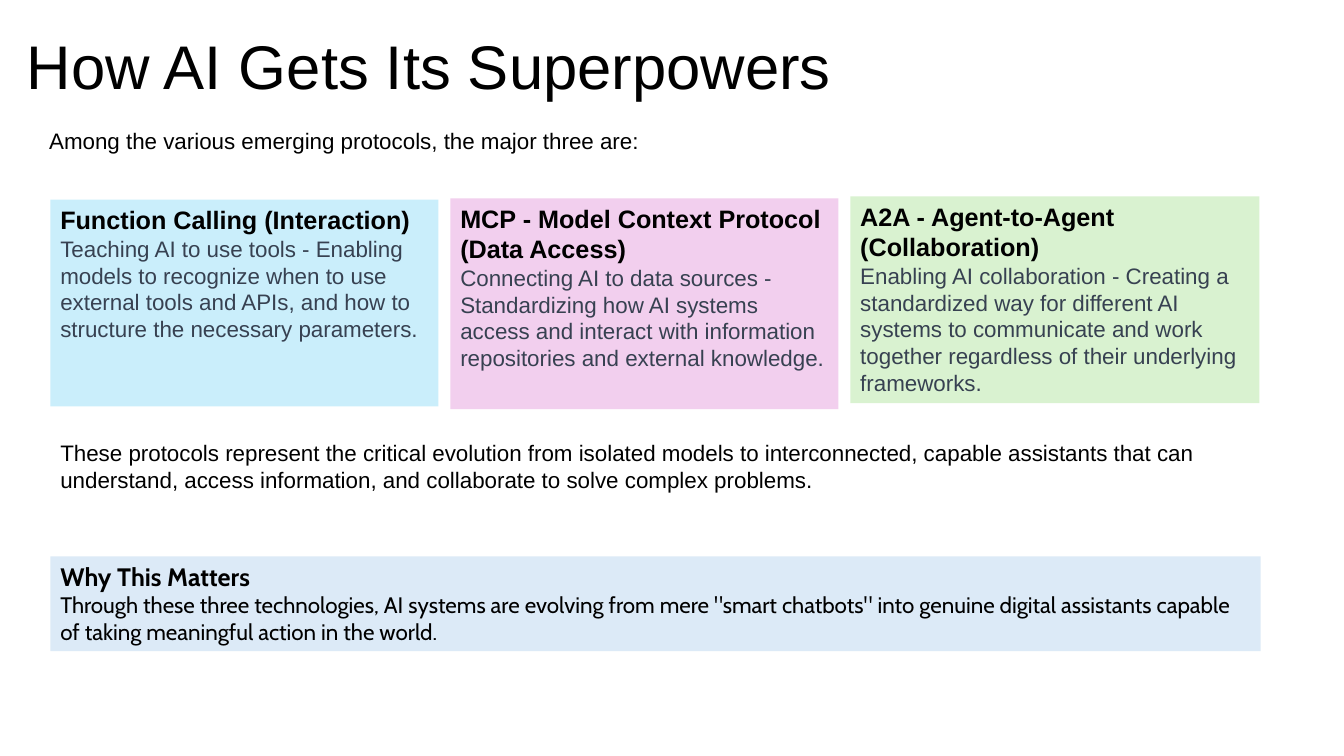
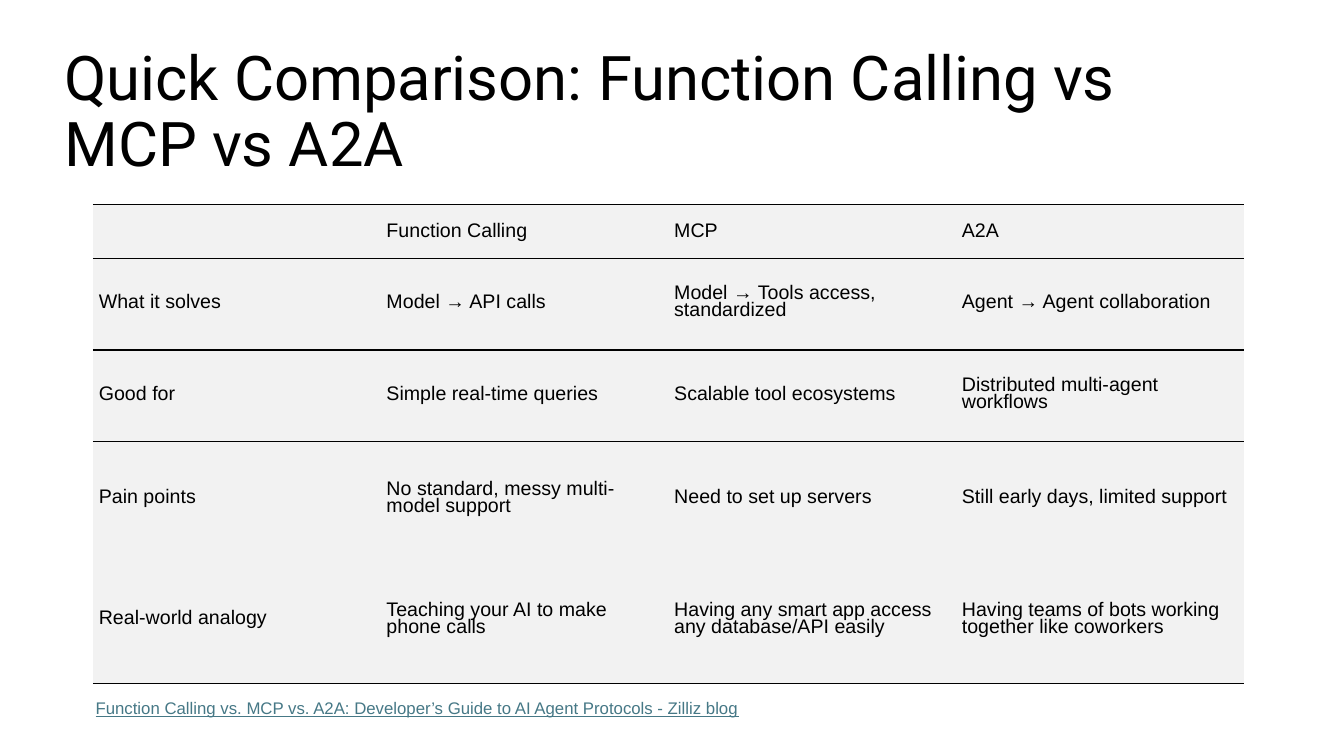
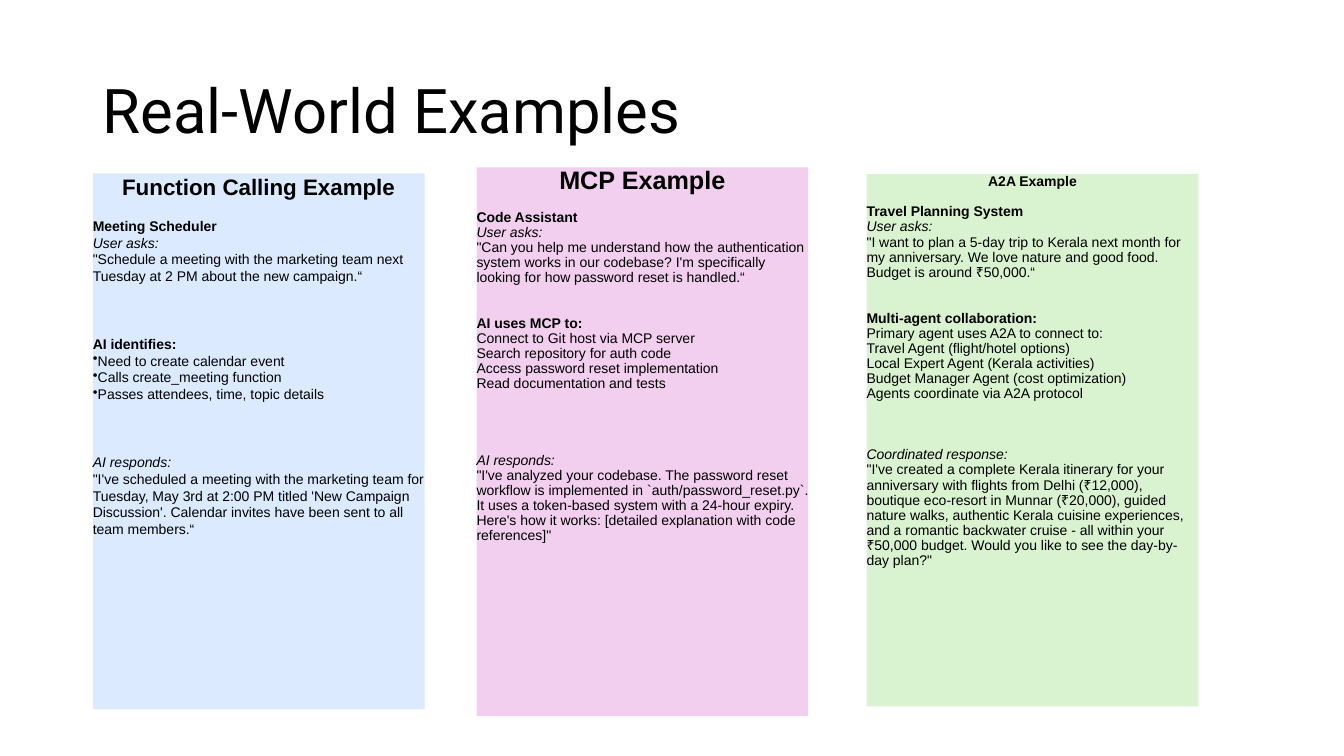
import pptx
import pptx.dml.color
import pptx.enum.shapes
import pptx.enum.text
import pptx.oxml.ns
import pptx.util
from lxml import etree

Cm, Pt = pptx.util.Cm, pptx.util.Pt
ALIGN = pptx.enum.text.PP_ALIGN
ANCHOR = pptx.enum.text.MSO_ANCHOR

BLACK, SLATE, LINK = "000000", "374151", "467886"
PINK, GREEN = "F2CFEE", "D9F2D0"
TABLE_GREY = "F2F2F2"
PLAIN_TABLE_STYLE = "{2D5ABB26-0587-4C30-8999-92F81FD0307C}"
BASE = {"name": "Arial", "size": 16, "color": BLACK}
TITLE = {"size": 44, "spacing": 0.9}

# Places are (left, top, width, height) in centimetres.
PROTOCOLS = {
    "title": ("How AI Gets Its Superpowers", "Arial", (0.43, 0.64, 29.21, 2.24)),
    "intro": ("Among the various emerging protocols, the major three are:",
              (0.99, 3.15, 30.76, 0.84)),
    "summary": ("These protocols represent the critical evolution from isolated models to "
                "interconnected, capable assistants that can understand, access information, "
                "and collaborate to solve complex problems.", (1.27, 10.95, 30.76, 1.63)),
    "left": 1.27,
    "gap": 0.3,
    # top, width, height, fill, heading, body
    "cards": [
        (5.03, 9.78, 5.21, "CAEEFB", "Function Calling (Interaction)",
         "Teaching AI to use tools - Enabling models to recognize when to use external tools "
         "and APIs, and how to structure the necessary parameters."),
        (5.0, 9.78, 5.31, PINK, "MCP - Model Context Protocol (Data Access)",
         "Connecting AI to data sources - Standardizing how AI systems access and interact "
         "with information repositories and external knowledge."),
        (4.95, 10.31, 5.21, GREEN, "A2A - Agent-to-Agent (Collaboration)",
         "Enabling AI collaboration - Creating a standardized way for different AI systems to "
         "communicate and work together regardless of their underlying frameworks."),
    ],
    "why": ("Why This Matters",
            "Through these three technologies, AI systems are evolving from mere \"smart "
            "chatbots\" into genuine digital assistants capable of taking meaningful action "
            "in the world.", (1.27, 14.02, 30.5, 2.39)),
}

COMPARISON = {
    "title": ("Quick Comparison: Function Calling vs MCP vs A2A", "Roboto",
              (1.37, 1.02, 30.18, 3.68)),
    "place": (2.34, 5.16, 29.0, 12.07),
    "row_heights": [1.35, 2.31, 2.31, 2.92, 3.18],
    "ruled_rows": [0, 1, 4],
    "rows": [
        ["", "Function Calling", "MCP", "A2A"],
        ["What it solves", "Model → API calls", "Model → Tools access, standardized",
         "Agent → Agent collaboration"],
        ["Good for", "Simple real-time queries", "Scalable tool ecosystems",
         "Distributed multi-agent workflows"],
        ["Pain points", "No standard, messy multi-model support", "Need to set up servers",
         "Still early days, limited support"],
        ["Real-world analogy", "Teaching your AI to make phone calls",
         "Having any smart app access any database/API easily",
         "Having teams of bots working together like coworkers"],
    ],
    "source": ("Function Calling vs. MCP vs. A2A: Developer’s Guide to AI Agent Protocols"
               " - Zilliz blog", (2.16, 17.45, 16.94, 0.76)),
}

EXAMPLE_LINE = 12.1  # height in points of one line of 10 pt text
EXAMPLE_STYLES = {
    "heading": {"bold": True, "align": ALIGN.CENTER},
    "label": {"bold": True},
    "speaker": {"italic": True},
    "text": {},
    "bullet": {"bullet": "•"},
}
EXAMPLES = {
    "title": ("Real-World Examples", "Roboto", (2.34, 1.02, 29.21, 3.68)),
    # paragraphs: style, lines of space before, text
    "cards": [
        {"place": (2.34, 4.37, 8.36, 13.51), "fill": "DBEAFE", "heading_size": 16, "spacing": 1.0,
         "paragraphs": [
             ("heading", 0, "Function Calling Example"),
             ("label", 1, "Meeting Scheduler"),
             ("speaker", 0, "User asks:"),
             ("text", 0, "\"Schedule a meeting with the marketing team next Tuesday at 2 PM "
                         "about the new campaign.“"),
             ("label", 3, "AI identifies:"),
             ("bullet", 0, "Need to create calendar event"),
             ("bullet", 0, "Calls create_meeting function"),
             ("bullet", 0, "Passes attendees, time, topic details"),
             ("speaker", 3, "AI responds:"),
             ("text", 0, "\"I've scheduled a meeting with the marketing team for Tuesday, May "
                         "3rd at 2:00 PM titled 'New Campaign Discussion'. Calendar invites "
                         "have been sent to all team members.“"),
         ]},
        {"place": (12.01, 4.22, 8.36, 13.82), "fill": PINK, "heading_size": 18, "spacing": 0.9,
         "paragraphs": [
             ("heading", 0, "MCP Example"),
             ("label", 1, "Code Assistant"),
             ("speaker", 0, "User asks:"),
             ("text", 0, "\"Can you help me understand how the authentication system works in "
                         "our codebase? I'm specifically looking for how password reset is "
                         "handled.“"),
             ("label", 2, "AI uses MCP to:"),
             ("text", 0, "Connect to Git host via MCP server"),
             ("text", 0, "Search repository for auth code"),
             ("text", 0, "Access password reset implementation"),
             ("text", 0, "Read documentation and tests"),
             ("speaker", 4, "AI responds:"),
             ("text", 0, "\"I've analyzed your codebase. The password reset workflow is "
                         "implemented in `auth/password_reset.py`. It uses a token-based system "
                         "with a 24-hour expiry. Here's how it works: [detailed explanation "
                         "with code references]\""),
         ]},
        {"place": (21.84, 4.39, 8.36, 13.41), "fill": GREEN, "heading_size": 10, "spacing": 0.9,
         "paragraphs": [
             ("heading", 0, "A2A Example"),
             ("label", 1, "Travel Planning System"),
             ("speaker", 0, "User asks:"),
             ("text", 0, "\"I want to plan a 5-day trip to Kerala next month for my anniversary. "
                         "We love nature and good food. Budget is around ₹50,000.“"),
             ("label", 2, "Multi-agent collaboration:"),
             ("text", 0, "Primary agent uses A2A to connect to:"),
             ("text", 0, "Travel Agent (flight/hotel options)"),
             ("text", 0, "Local Expert Agent (Kerala activities)"),
             ("text", 0, "Budget Manager Agent (cost optimization)"),
             ("text", 0, "Agents coordinate via A2A protocol"),
             ("speaker", 3, "Coordinated response:"),
             ("text", 0, "\"I've created a complete Kerala itinerary for your anniversary with "
                         "flights from Delhi (₹12,000), boutique eco-resort in Munnar (₹20,000), "
                         "guided nature walks, authentic Kerala cuisine experiences, and a "
                         "romantic backwater cruise - all within your ₹50,000 budget. Would you "
                         "like to see the day-by-day plan?\""),
         ]},
    ],
}


def rgb(value):
    return pptx.dml.color.RGBColor.from_string(value)


def write(frame, paragraphs):
    """Fill a text frame from (text, format) pairs; formats extend BASE."""
    frame.word_wrap = True
    for index, (text, changes) in enumerate(paragraphs):
        look = {**BASE, **changes}
        para = frame.add_paragraph() if index else frame.paragraphs[0]
        para.alignment = look.get("align", ALIGN.LEFT)
        para.line_spacing = look.get("spacing", 1.0)
        if "before" in look:
            para.space_before = Pt(look["before"])
        if "bullet" in look:
            properties = para._p.get_or_add_pPr()
            etree.SubElement(properties, pptx.oxml.ns.qn("a:buChar"), char=look["bullet"])
        span = para.add_run()
        span.text = text
        span.font.size = Pt(look["size"])
        span.font.color.rgb = rgb(look["color"])
        for key in ("name", "bold", "italic", "underline"):
            if key in look:
                setattr(span.font, key, look[key])


def add_text(page, place, paragraphs, anchor=ANCHOR.TOP):
    box = page.shapes.add_textbox(*map(Cm, place))
    box.text_frame.vertical_anchor = anchor
    write(box.text_frame, paragraphs)


def add_card(page, place, fill, paragraphs, inset=None):
    card = page.shapes.add_shape(pptx.enum.shapes.MSO_SHAPE.RECTANGLE, *map(Cm, place))
    card.shadow.inherit = False
    card.fill.solid()
    card.fill.fore_color.rgb = rgb(fill)
    card.line.fill.background()
    frame = card.text_frame
    frame.vertical_anchor = ANCHOR.TOP
    if inset is not None:
        for side in ("left", "top", "right", "bottom"):
            setattr(frame, f"margin_{side}", Cm(inset))
    write(frame, paragraphs)


def add_page(deck, title):
    page = deck.slides.add_slide(deck.slide_layouts[6])
    text, font, place = title
    add_text(page, place, [(text, {**TITLE, "name": font})], ANCHOR.MIDDLE)
    return page


def rule_cell(cell, sides):
    """Draw black rules on the given sides ("T", "B") of a cell."""
    properties = cell._tc.get_or_add_tcPr()
    for position, side in enumerate(sides):
        line = etree.Element(pptx.oxml.ns.qn(f"a:ln{side}"), w=str(Pt(1)))
        fill = etree.SubElement(line, pptx.oxml.ns.qn("a:solidFill"))
        etree.SubElement(fill, pptx.oxml.ns.qn("a:srgbClr"), val=BLACK)
        properties.insert(position, line)


def build_protocols(deck):
    page = add_page(deck, PROTOCOLS["title"])
    text, place = PROTOCOLS["intro"]
    add_text(page, place, [(text, {"spacing": 0.9})])
    left = PROTOCOLS["left"]
    for top, width, height, fill, heading, body in PROTOCOLS["cards"]:
        add_card(page, (left, top, width, height), fill,
                 [(heading, {"size": 18, "bold": True}), (body, {"color": SLATE})])
        left += width + PROTOCOLS["gap"]
    text, place = PROTOCOLS["summary"]
    add_text(page, place, [(text, {})])
    heading, body, place = PROTOCOLS["why"]
    add_card(page, place, "DCEAF7", [(heading, {"name": "Cabin", "size": 18, "bold": True}),
                                     (body, {"name": "Cabin"})])


def build_comparison(deck):
    page = add_page(deck, COMPARISON["title"])
    rows = COMPARISON["rows"]
    holder = page.shapes.add_table(len(rows), len(rows[0]), *map(Cm, COMPARISON["place"]))
    holder.element.xpath(".//a:tableStyleId")[0].text = PLAIN_TABLE_STYLE
    table = holder.table
    table.first_row = table.horz_banding = False
    for row_index, texts in enumerate(rows):
        table.rows[row_index].height = Cm(COMPARISON["row_heights"][row_index])
        header = row_index == 0
        sides = [side for side, ruled in (("T", row_index - 1), ("B", row_index))
                 if ruled in COMPARISON["ruled_rows"] or ruled < 0]
        for column, text in enumerate(texts):
            cell = table.cell(row_index, column)
            cell.vertical_anchor = ANCHOR.MIDDLE
            cell.margin_left = cell.margin_right = Cm(0.15)
            cell.margin_top = cell.margin_bottom = Cm(0.1 if header else 0.2)
            cell.fill.solid()
            cell.fill.fore_color.rgb = rgb(TABLE_GREY)
            rule_cell(cell, sides)
            if text:
                write(cell.text_frame, [(text, {"size": 14, "spacing": Pt(15 if header else 12)})])
    text, place = COMPARISON["source"]
    add_text(page, place, [(text, {"size": 12, "color": LINK, "underline": True})])


def build_examples(deck):
    page = add_page(deck, EXAMPLES["title"])
    for card in EXAMPLES["cards"]:
        spacing = card["spacing"]
        paragraphs = []
        for style, gap_lines, text in card["paragraphs"]:
            look = {**EXAMPLE_STYLES[style], "spacing": spacing,
                    "size": card["heading_size"] if style == "heading" else 10}
            if gap_lines:
                look["before"] = round(gap_lines * EXAMPLE_LINE * spacing, 1)
            paragraphs.append((text, look))
        add_card(page, card["place"], card["fill"], paragraphs, inset=0)


def main():
    deck = pptx.Presentation()
    deck.slide_width, deck.slide_height = Cm(33.87), Cm(19.05)
    for build in (build_protocols, build_comparison, build_examples):
        build(deck)
    deck.save("out.pptx")


if __name__ == "__main__":
    main()
